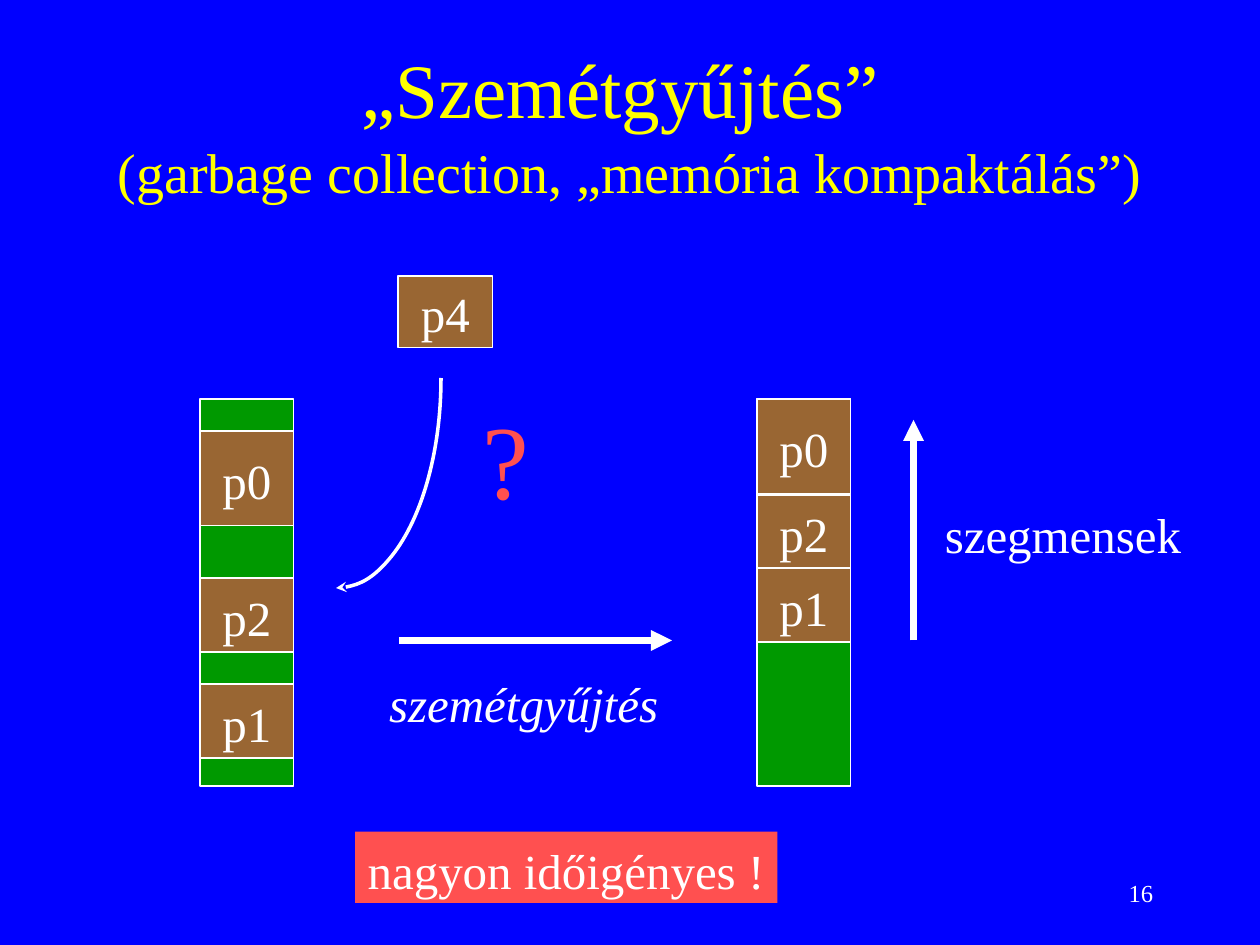
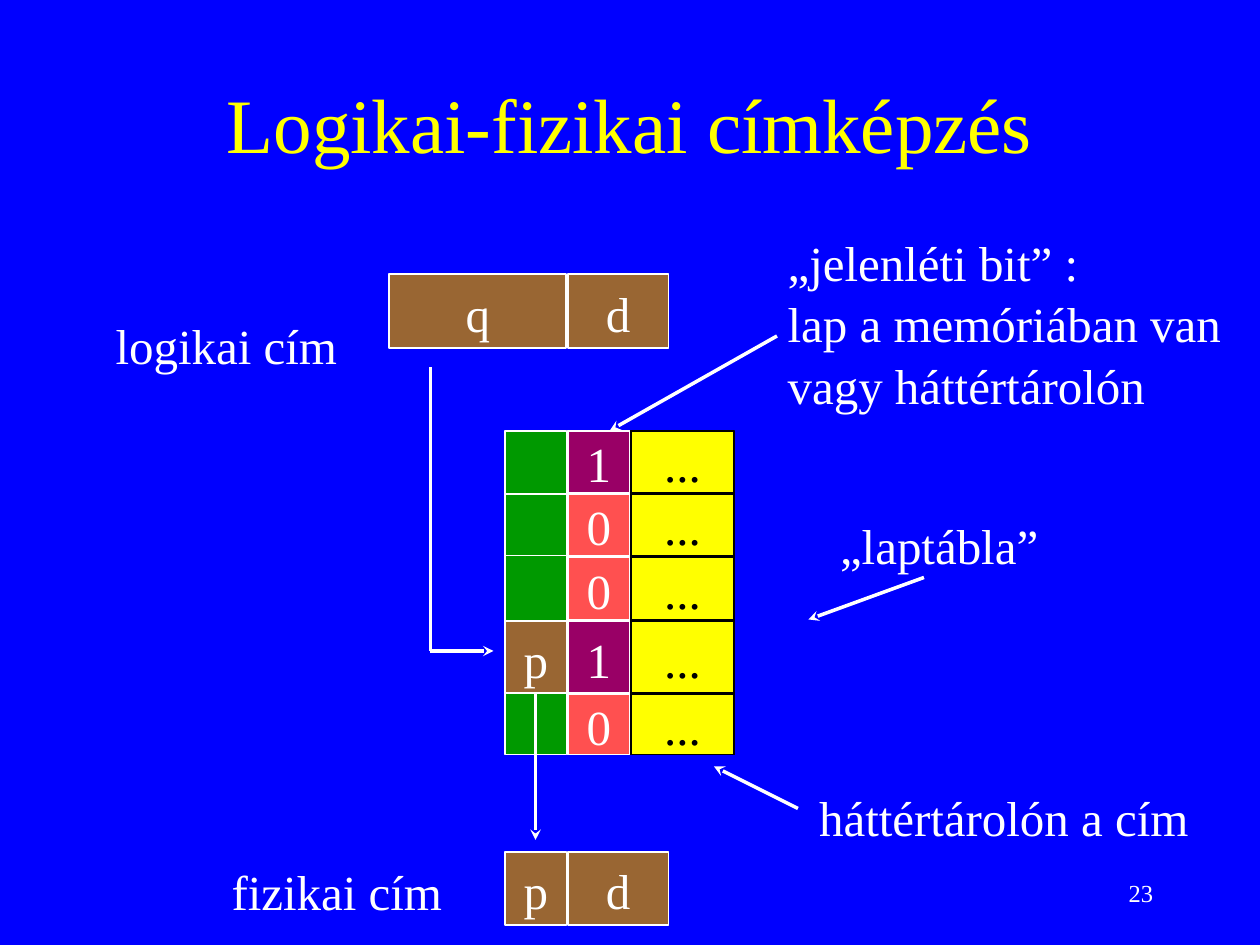
import pptx
import pptx.dml.color
import pptx.enum.shapes
import pptx.enum.text
import pptx.oxml
import pptx.util
from lxml import etree

Pt = pptx.util.Pt
ALIGN = pptx.enum.text.PP_ALIGN
ANCHOR = pptx.enum.text.MSO_ANCHOR
SHAPE = pptx.enum.shapes.MSO_SHAPE
FONT = "Times New Roman"
COLOURS = {
    "background": "0000FF",
    "title": "FFFF00",
    "text": "FFFFFF",
    "dark": "000000",
    "free": "009900",
    "segment": "996633",
    "present": "990066",
    "absent": "FF5050",
    "address": "FFFF00",
}
SEGMENT_WIDTH = 53.3
MEMORY_TOP = 228.2
MEMORY_HEIGHT = 221
PAGE_TOP = 246.2
PAGE_PITCHES = [36, 36, 36.75, 41.75, 35.25]
PAGE_GAP = 0.75


def rgb(name):
    """Return the named colour."""
    return pptx.dml.color.RGBColor.from_string(COLOURS[name])


def write(shape, lines, size=28, colour="text", align=ALIGN.LEFT,
          anchor=ANCHOR.TOP, wrap=False, italic=False):
    """Fill a shape with one paragraph per line."""
    frame = shape.text_frame
    frame.word_wrap = wrap
    frame.vertical_anchor = anchor
    for index, line in enumerate(lines):
        paragraph = frame.add_paragraph() if index else frame.paragraphs[0]
        paragraph.alignment = align
        paragraph.line_spacing = 1.05
        add_run(paragraph, line, size, colour, italic)


def add_run(paragraph, text, size, colour, italic=False):
    """Append one formatted run to a paragraph."""
    run = paragraph.add_run()
    run.text = text
    run.font.name = FONT
    run.font.size = Pt(size)
    run.font.italic = italic
    run.font.color.rgb = rgb(colour)


def add_text(slide, left, top, width, height, *lines, **style):
    """Add a text box."""
    box = slide.shapes.add_textbox(Pt(left), Pt(top), Pt(width), Pt(height))
    write(box, lines, **style)
    return box


def add_label(slide, left, top, width, *lines, **style):
    """Add a box that fits its lines of 28 point text."""
    height = 7.2 + 33.6 * len(lines)
    return add_text(slide, left, top, width, height, *lines, **style)


def add_block(slide, left, top, width, height, fill, label="",
              line="text", colour="text"):
    """Add an outlined rectangle with an optional centred label."""
    block = slide.shapes.add_shape(
        SHAPE.RECTANGLE, Pt(left), Pt(top), Pt(width), Pt(height))
    block.shadow.inherit = False
    block.fill.solid()
    block.fill.fore_color.rgb = rgb(fill)
    block.line.color.rgb = rgb(line)
    block.line.width = Pt(1)
    if label:
        write(block, [label], colour=colour, align=ALIGN.CENTER,
              anchor=ANCHOR.MIDDLE)


def style_line(shape, width, arrow=None):
    """Set a white line and an arrowhead at its end."""
    shape.line.color.rgb = rgb("text")
    shape.line.width = Pt(width)
    if arrow:
        tail = etree.SubElement(
            shape.line._get_or_add_ln(), pptx.oxml.ns.qn("a:tailEnd"))
        tail.set("type", arrow)


def add_line(slide, start, end, width=2, arrow="stealth"):
    """Add a straight line from start to end."""
    line = slide.shapes.add_connector(
        pptx.enum.shapes.MSO_CONNECTOR.STRAIGHT,
        *(Pt(value) for value in (*start, *end)))
    style_line(line, width, arrow)
    etree.SubElement(line._element.spPr, pptx.oxml.ns.qn("a:effectLst"))


def add_curved_arrow(slide, left, top, width, height):
    """Add the lower right quarter of an ellipse as an arrow."""
    arc = slide.shapes.add_shape(
        SHAPE.ARC, Pt(left), Pt(top), Pt(width), Pt(height))
    arc.adjustments[0] = 0
    arc.adjustments[1] = 54
    arc.shadow.inherit = False
    arc.fill.background()
    style_line(arc, 2, "stealth")


def add_slide(presentation, number, title, subtitle=None):
    """Add a blank slide with background, title and page number."""
    slide = presentation.slides.add_slide(presentation.slide_layouts[6])
    slide.background.fill.solid()
    slide.background.fill.fore_color.rgb = rgb("background")
    box = add_text(slide, 54, 24, 612, 90, title, size=44, colour="title",
                   align=ALIGN.CENTER, anchor=ANCHOR.MIDDLE, wrap=True)
    if subtitle:
        paragraph = box.text_frame.paragraphs[0]
        paragraph.add_line_break()
        add_run(paragraph, subtitle, 32, "title")
    add_text(slide, 516, 492, 150, 36, str(number), size=14,
             align=ALIGN.RIGHT, anchor=ANCHOR.MIDDLE, wrap=True)
    return slide


def add_memory(slide, left, segments):
    """Draw free memory with (label, top, height) segments in it."""
    add_block(slide, left, MEMORY_TOP, SEGMENT_WIDTH, MEMORY_HEIGHT, "free")
    for label, top, height in segments:
        add_block(slide, left, top, SEGMENT_WIDTH, height, "segment", label)


def add_page_column(slide, left, width, fill, cells, **style):
    """Draw a page table column with (fill, label) cells by row."""
    add_block(slide, left, PAGE_TOP, width, sum(PAGE_PITCHES) - PAGE_GAP,
              fill, **style)
    for row, (cell_fill, label) in cells.items():
        top = PAGE_TOP + sum(PAGE_PITCHES[:row])
        add_block(slide, left, top, width, PAGE_PITCHES[row] - PAGE_GAP,
                  cell_fill, label, **style)


def build_garbage_collection(presentation):
    """Build the slide on memory compaction."""
    slide = add_slide(presentation, 16, "„Szemétgyűjtés” ",
                      "(garbage collection, „memória kompaktálás”)")
    add_memory(slide, 114.5, [
        ("p0", 246.3, 54), ("p2", 330.5, 42), ("p1", 391, 42)])
    add_memory(slide, 432.7, [
        ("p0", MEMORY_TOP, 54), ("p2", 282.7, 42), ("p1", 324.7, 42)])
    add_block(slide, 227.5, 157.7, 54, 41, "segment", "p4")
    add_curved_arrow(slide, 132, 96, 120, 240)
    add_text(slide, 268.5, 218.2, 41, 79.2, "?", size=60, colour="absent")
    add_line(slide, (228, 366), (384, 366), 4, "triangle")
    add_label(slide, 215.3, 379.5, 168.5, "szemétgyűjtés", italic=True)
    warning = add_label(slide, 203, 475.2, 241.2, "nagyon időigényes !")
    warning.fill.solid()
    warning.fill.fore_color.rgb = rgb("absent")
    add_line(slide, (522, 366), (522, 240), 4, "triangle")
    add_label(slide, 532.8, 283, 149.8, "szegmensek")


def build_address_translation(presentation):
    """Build the slide on logical to physical addresses."""
    slide = add_slide(presentation, 23, "Logikai-fizikai címképzés")
    for left, top, width, label in [
            (222.5, 156.7, 101, "q"), (324.5, 156.7, 57.5, "d"),
            (288.5, 486.7, 35.3, "p"), (324.5, 486.7, 57.5, "d")]:
        add_block(slide, left, top, width, 42, "segment", label)

    add_page_column(slide, 288.5, 35.3, "free",
                    {1: ("free", ""), 3: ("segment", "p")})
    bits = {row: ("present" if bit == "1" else "absent", bit)
            for row, bit in enumerate("10010")}
    add_page_column(slide, 324.5, 35.3, "present", bits)
    addresses = {row: ("address", "...") for row in range(len(PAGE_PITCHES))}
    add_page_column(slide, 360.5, 59, "address", addresses,
                    line="dark", colour="dark")

    add_line(slide, (246, 210), (246, 372), arrow=None)
    for start, end in [
            ((246, 372), (282, 372)), ((306, 396), (306, 480)),
            ((444, 192), (348.5, 246)), ((456, 462), (408, 438)),
            ((528, 330), (462, 354))]:
        add_line(slide, start, end)

    add_label(slide, 59, 175, 141, "logikai cím")
    add_label(slide, 125.3, 487.3, 134.6, "fizikai cím")
    add_label(slide, 443, 127.5, 262, "„jelenléti bit” :",
              "lap a memóriában van", "vagy háttértárolón")
    add_label(slide, 473, 289.5, 128, "„laptábla”")
    add_label(slide, 461, 445, 226, "háttértárolón a cím")


def main():
    """Build and save the presentation."""
    presentation = pptx.Presentation()
    presentation.slide_width = Pt(720)
    presentation.slide_height = Pt(540)
    build_garbage_collection(presentation)
    build_address_translation(presentation)
    presentation.save("out.pptx")


if __name__ == "__main__":
    main()
